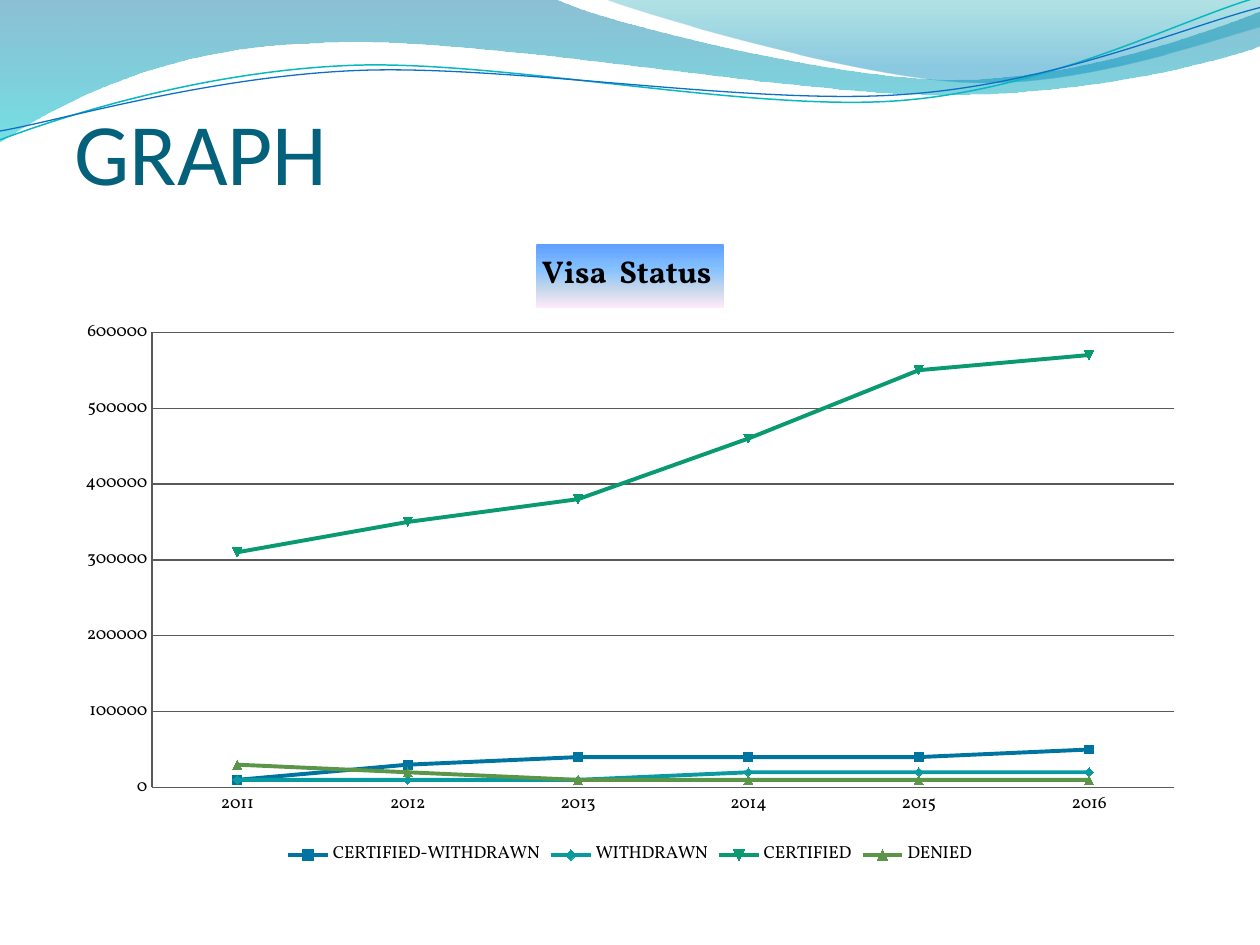
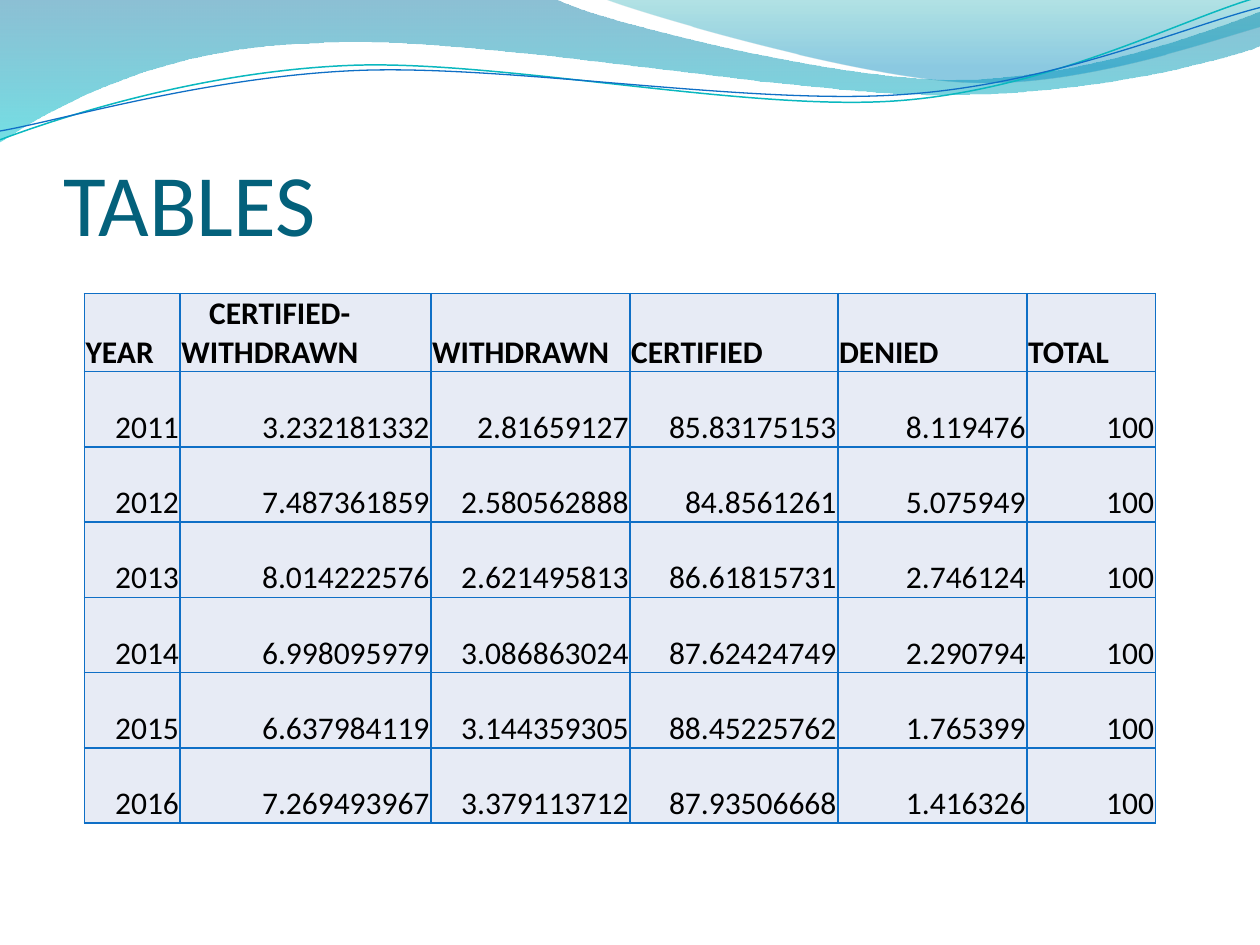
from lxml import etree
from pptx import Presentation
from pptx.chart.data import CategoryChartData
from pptx.dml.color import RGBColor
from pptx.enum.chart import XL_CHART_TYPE, XL_LEGEND_POSITION, XL_TICK_MARK
from pptx.enum.text import MSO_ANCHOR, MSO_AUTO_SIZE, PP_ALIGN
from pptx.oxml.ns import qn
from pptx.util import Inches, Pt

LINE_MARKERS = XL_CHART_TYPE.LINE_MARKERS
LEGEND_BOTTOM = XL_LEGEND_POSITION.BOTTOM
NO_TICK = XL_TICK_MARK.NONE
BOTTOM = MSO_ANCHOR.BOTTOM
NO_AUTO_SIZE = MSO_AUTO_SIZE.NONE
LEFT, RIGHT = PP_ALIGN.LEFT, PP_ALIGN.RIGHT
TITLE_ONLY = 5

BLACK = RGBColor(0x00, 0x00, 0x00)
TITLE_TEAL = RGBColor(0x04, 0x61, 0x7B)
WAVE_TEAL = RGBColor(0x0A, 0xB8, 0xBF)
BORDER_BLUE = RGBColor(0x0F, 0x6F, 0xC6)
CELL_FILL = RGBColor(0xE7, 0xEB, 0xF5)
AXIS_GRAY = RGBColor(0x59, 0x59, 0x59)
SERIES_COLORS = (
    RGBColor(0x00, 0x74, 0xA1), RGBColor(0x09, 0x9A, 0xA1),
    RGBColor(0x0A, 0x9A, 0x72), RGBColor(0x5B, 0x96, 0x48),
)

# Gradient stops: position in percent, colour, opacity in percent
BAND_STOPS = ((0, RGBColor(0x00, 0x74, 0xA1), 45), (100, RGBColor(0x00, 0xC6, 0xCF), 55))
CORNER_STOPS = ((0, RGBColor(0x00, 0xA1, 0xA9), 30), (80, RGBColor(0x00, 0x8B, 0xBF), 45))
CHART_TITLE_STOPS = (
    (0, RGBColor(0x5E, 0x9E, 0xFF), 100), (40, RGBColor(0x85, 0xC2, 0xFF), 100),
    (70, RGBColor(0xC4, 0xD6, 0xEB), 100), (100, RGBColor(0xFF, 0xEB, 0xFA), 100),
)

# Wave outlines in inches: a pair is a straight step, six numbers a Bezier curve
BAND = [
    (0, 0), (4.4, -0.01), (4.76, 0.17, 6.64, 0.63, 7.58, 0.63),
    (8.53, 0.63, 9.58, 0.26, 10, 0.09), (10.01, 0.36),
    (9.83, 0.44, 8.7, 0.76, 7.46, 0.75), (6.22, 0.75, 3.82, 0.28, 2.57, 0.34),
    (1.29, 0.36, 0.46, 0.83, -0.01, 1.13), (0, 0),
]
CORNER = [
    (4.79, -0.01), (5.09, 0.11, 6.82, 0.62, 7.69, 0.65),
    (8.56, 0.69, 9.61, 0.32, 10, 0.21), (10, 0), (4.79, -0.01),
]
TEAL_WAVE = [
    (0, 1.11), (0.48, 0.93, 1.58, 0.57, 2.77, 0.52),
    (3.95, 0.47, 5.93, 0.89, 7.13, 0.8), (8.33, 0.71, 9.38, 0.15, 9.98, -0.02),
]
BLUE_WAVE = [
    (0, 1.04), (0.47, 0.96, 1.64, 0.61, 2.83, 0.56),
    (4.03, 0.51, 5.97, 0.84, 7.17, 0.75), (8.36, 0.67, 9.41, 0.21, 10, 0.06),
]

YEARS = ("2011", "2012", "2013", "2014", "2015", "2016")
VISA_COUNTS = {
    "CERTIFIED-WITHDRAWN": (10000, 30000, 40000, 40000, 40000, 50000),
    "WITHDRAWN": (10000, 10000, 10000, 20000, 20000, 20000),
    "CERTIFIED": (310000, 350000, 380000, 460000, 550000, 570000),
    "DENIED": (30000, 20000, 10000, 10000, 10000, 10000),
}
HEADERS = ("YEAR", "CERTIFIED- WITHDRAWN", "WITHDRAWN", "CERTIFIED", "DENIED", "TOTAL")
VISA_SHARES = (
    ("3.232181332", "2.81659127", "85.83175153", "8.119476"),
    ("7.487361859", "2.580562888", "84.8561261", "5.075949"),
    ("8.014222576", "2.621495813", "86.61815731", "2.746124"),
    ("6.998095979", "3.086863024", "87.62424749", "2.290794"),
    ("6.637984119", "3.144359305", "88.45225762", "1.765399"),
    ("7.269493967", "3.379113712", "87.93506668", "1.416326"),
)
COLUMN_WIDTHS = (0.76, 1.99, 1.58, 1.65, 1.5, 1.02)


def write_text(frame, text, size=18, color=BLACK, bold=False, align=LEFT, font="Calibri", indent=0):
    paragraph = frame.paragraphs[0]
    paragraph.alignment = align
    if indent:
        paragraph._p.get_or_add_pPr().set("indent", str(Inches(indent)))
    run = paragraph.add_run()
    run.text = text
    run.font.name, run.font.size, run.font.bold = font, Pt(size), bold
    run.font.color.rgb = color


def set_margins(target, left, top, right, bottom):
    target.margin_left, target.margin_top = Inches(left), Inches(top)
    target.margin_right, target.margin_bottom = Inches(right), Inches(bottom)


def set_gradient(fill, properties, stops):
    """Fill top to bottom; properties is the element that holds the fill."""
    fill.solid()
    gradient = etree.Element(qn("a:gradFill"), rotWithShape="1")
    stop_list = etree.SubElement(gradient, qn("a:gsLst"))
    for position, color, opacity in stops:
        stop = etree.SubElement(stop_list, qn("a:gs"), pos=str(position * 1000))
        shade = etree.SubElement(stop, qn("a:srgbClr"), val=str(color))
        etree.SubElement(shade, qn("a:alpha"), val=str(opacity * 1000))
    etree.SubElement(gradient, qn("a:lin"), ang="5400000", scaled="0")
    properties.replace(properties.find(qn("a:solidFill")), gradient)


def bend_segments(shape, outline):
    """Turn the straight steps of a freeform into the curves of its outline."""
    steps = list(shape.element.iter(qn("a:lnTo")))
    for step, part in zip(steps, outline[1:]):
        if len(part) == 2:
            continue
        curve = etree.Element(qn("a:cubicBezTo"))
        for x, y in zip(part[::2], part[1::2]):
            etree.SubElement(
                curve, qn("a:pt"), x=str(Inches(x) - shape.left), y=str(Inches(y) - shape.top)
            )
        step.getparent().replace(step, curve)


class Deck:
    def __init__(self):
        self.presentation = Presentation()
        self.presentation.slide_width = Inches(10)
        self.presentation.slide_height = Inches(7.5)
        self.slide = None

    def add_slide(self, title, left, top):
        layout = self.presentation.slide_layouts[TITLE_ONLY]
        self.slide = self.presentation.slides.add_slide(layout)
        shape = self.slide.shapes.title
        shape.left, shape.top = Inches(left), Inches(top)
        shape.width, shape.height = Inches(9), Inches(1.25)
        frame = shape.text_frame
        frame.auto_size, frame.vertical_anchor = NO_AUTO_SIZE, BOTTOM
        set_margins(frame, 0, 0.05, 0, 0)
        write_text(frame, title, size=50, color=TITLE_TEAL)

    def add_wave(self, outline, stops=None, color=None, width=0):
        """Draw a gradient area or a curved line."""
        points = [(Inches(part[-2]), Inches(part[-1])) for part in outline]
        builder = self.slide.shapes.build_freeform(*points[0])
        builder.add_line_segments(points[1:], close=stops is not None)
        shape = builder.convert_to_shape()
        bend_segments(shape, outline)
        shape.shadow.inherit = False
        if stops:
            set_gradient(shape.fill, shape.element.spPr, stops)
            shape.line.fill.background()
        else:
            shape.fill.background()
            shape.line.color.rgb, shape.line.width = color, Pt(width)
        return shape

    def add_master_waves(self):
        """Build the waves on the current slide and move them to the master."""
        waves = (
            self.add_wave(BAND, stops=BAND_STOPS),
            self.add_wave(CORNER, stops=CORNER_STOPS),
            self.add_wave(TEAL_WAVE, color=WAVE_TEAL, width=0.85),
            self.add_wave(BLUE_WAVE, color=BORDER_BLUE, width=0.75),
        )
        master_tree = self.presentation.slide_master.shapes.element
        for number, wave in enumerate(waves):
            wave.element.nvSpPr.cNvPr.set("id", str(100 + number))
            master_tree.insert(2 + number, wave.element)

    def add_line_chart(self, title, categories, series_values, left, top, width, height):
        data = CategoryChartData()
        data.categories = categories
        for name, values in series_values.items():
            data.add_series(name, values)
        chart = self.slide.shapes.add_chart(
            LINE_MARKERS, Inches(left), Inches(top), Inches(width), Inches(height), data
        ).chart
        chart.font.name, chart.font.size = "Vollkorn", Pt(10)
        chart.font.color.rgb = BLACK
        chart.has_title = True
        chart_title = chart.chart_title
        write_text(chart_title.text_frame, title, bold=True, align=None, font="Vollkorn")
        fill = chart_title.format.fill
        set_gradient(fill, chart_title._element.find(qn("c:spPr")), CHART_TITLE_STOPS)
        chart.has_legend = True
        chart.legend.position = LEGEND_BOTTOM
        chart.legend.include_in_layout = False

        chart.value_axis.minimum_scale = 0
        chart.value_axis.maximum_scale, chart.value_axis.major_unit = 600000, 100000
        chart.value_axis.has_major_gridlines = True
        for axis in (chart.category_axis, chart.value_axis):
            axis.major_tick_mark = axis.minor_tick_mark = NO_TICK
            axis.format.line.color.rgb = AXIS_GRAY
        gridline = chart.value_axis.major_gridlines.format.line
        gridline.color.rgb, gridline.width = AXIS_GRAY, Pt(0.75)

        plot = chart.plots[0]
        plot.vary_by_categories = False
        for series, color in zip(plot.series, SERIES_COLORS):
            series.smooth = False
            series.format.line.color.rgb, series.format.line.width = color, Pt(2.25)
            series.marker.format.fill.solid()
            series.marker.format.fill.fore_color.rgb = color
            series.marker.format.line.color.rgb = color

    def add_table(self, rows, column_widths, left, top, height):
        table = self.slide.shapes.add_table(
            len(rows), len(column_widths), Inches(left), Inches(top),
            Inches(sum(column_widths)), Inches(height),
        ).table
        for column, width in zip(table.columns, column_widths):
            column.width = Inches(width)
        for row_number, texts in enumerate(rows):
            table.rows[row_number].height = Inches(height / len(rows))
            header = row_number == 0
            for column_number, text in enumerate(texts):
                cell = table.cell(row_number, column_number)
                self.style_cell(cell)
                write_text(
                    cell.text_frame, text, bold=header, align=LEFT if header else RIGHT,
                    indent=0.22 if header and column_number == 1 else 0,
                )

    def style_cell(self, cell):
        cell.vertical_anchor = BOTTOM
        set_margins(cell, 0.01, 0.01, 0.01, 0)
        cell.fill.solid()
        cell.fill.fore_color.rgb = CELL_FILL
        properties = cell._tc.get_or_add_tcPr()
        for index, side in enumerate("LRTB"):
            border = etree.Element(qn(f"a:ln{side}"), w=str(Pt(1)))
            fill = etree.SubElement(border, qn("a:solidFill"))
            etree.SubElement(fill, qn("a:srgbClr"), val=str(BORDER_BLUE))
            properties.insert(index, border)


def main():
    deck = Deck()
    deck.add_slide("GRAPH", 0.59, 0.36)
    deck.add_master_waves()
    deck.add_line_chart("Visa  Status ", YEARS, VISA_COUNTS, 0.5, 1.78, 9, 5.14)

    deck.add_slide("TABLES", 0.5, 0.77)
    rows = [HEADERS] + [(year, *shares, "100") for year, shares in zip(YEARS, VISA_SHARES)]
    deck.add_table(rows, COLUMN_WIDTHS, 0.67, 2.33, 4.18)
    deck.presentation.save("out.pptx")


if __name__ == "__main__":
    main()
